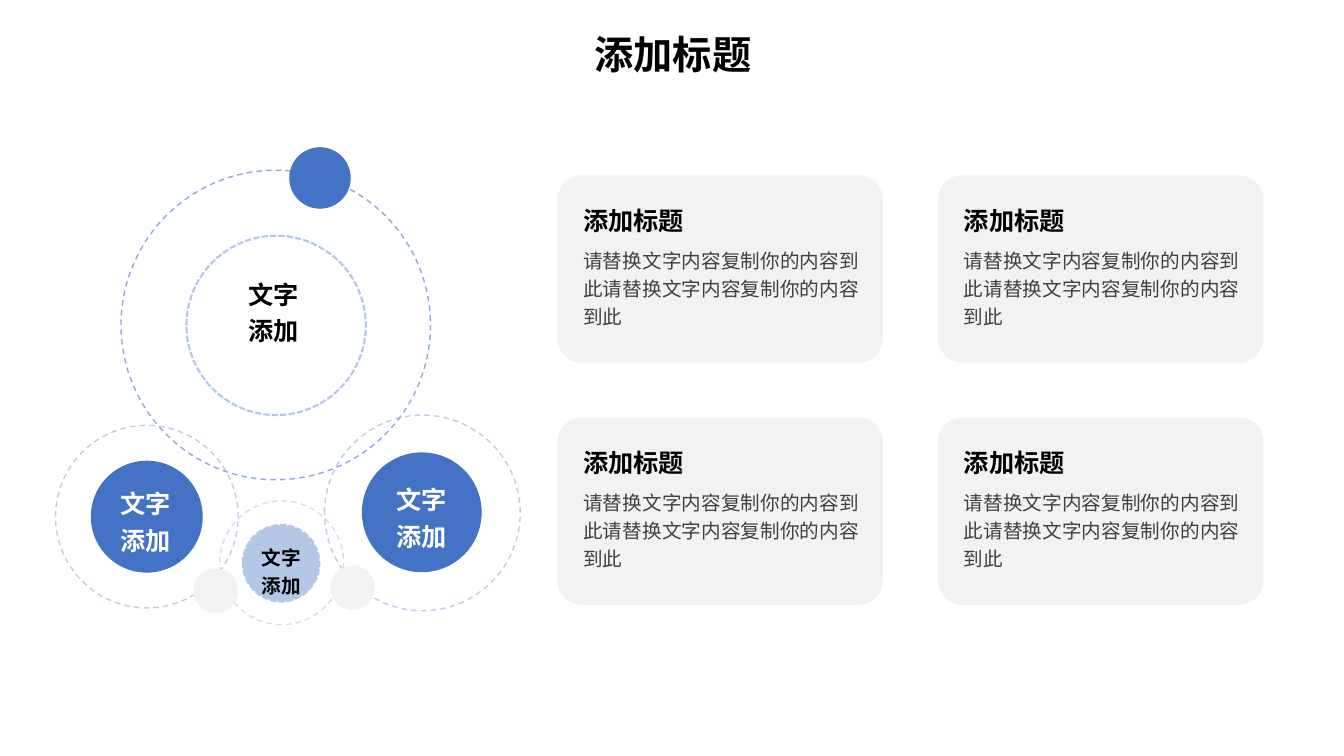
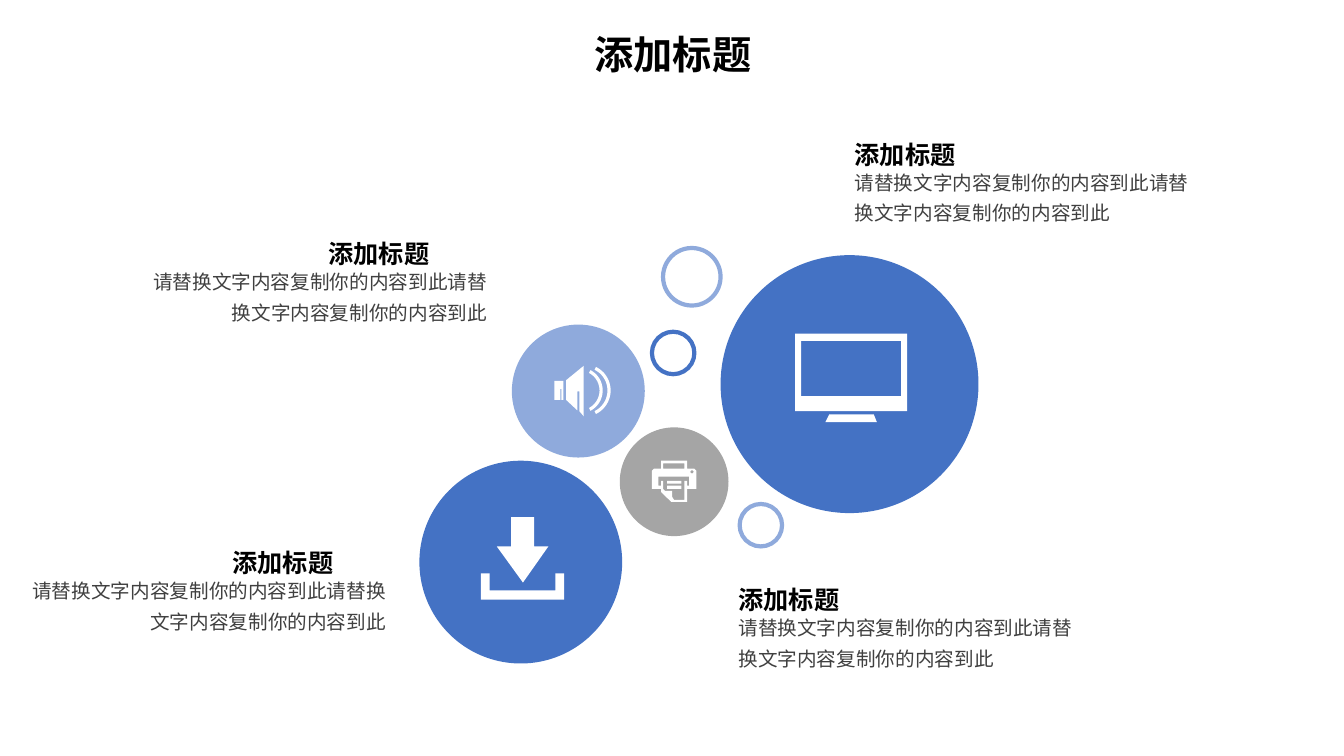
"""Build two concept slides: circles with text cards, and circles with icons."""
import math
from dataclasses import dataclass
from typing import Optional

from lxml import etree
from pptx import Presentation
from pptx import util as u
from pptx.dml.color import RGBColor
from pptx.enum import dml, shapes, text
from pptx.oxml.ns import qn

FONT = "Noto Sans CJK SC"
BLACK, WHITE, GREY = "000000", "FFFFFF", "404040"
BLUE, MID_BLUE, PALE_BLUE = "4472C4", "8FAADC", "B4C7E7"
PALE_GREY, MID_GREY = "F2F2F2", "A5A5A5"
HEADING = "添加标题"
BODY = "请替换文字内容复制你的内容到此" * 2
LABEL = "文字\n添加"
DASH, DOTS = dml.MSO_LINE.DASH, dml.MSO_LINE.SQUARE_DOT
LEFT, RIGHT = text.PP_ALIGN.LEFT, text.PP_ALIGN.RIGHT
JUSTIFY, CENTER = text.PP_ALIGN.JUSTIFY, text.PP_ALIGN.CENTER

Point = tuple[float, float]
Outline = list[Point]


@dataclass(frozen=True)
class Circle:
    left: float
    top: float
    size: float
    fill: Optional[str] = None
    line: Optional[str] = None
    weight: float = 1
    dash: Optional[dml.MSO_LINE] = None
    opacity: int = 100


@dataclass(frozen=True)
class Label:
    left: float
    top: float
    width: float
    height: float
    color: str
    size: int = 18


@dataclass(frozen=True)
class Caption:
    left: float
    top: float
    body_left: float
    body_width: float = 9.38
    align: text.PP_ALIGN = LEFT


ORBITS = [
    Circle(4.7, 5.94, 4.52, WHITE, PALE_BLUE, 1.5, DOTS),
    Circle(3.05, 4.29, 7.8, None, MID_BLUE, 1, DASH),
    Circle(2.29, 11.61, 2.82, BLUE),
    Circle(1.4, 10.72, 4.6, None, MID_BLUE, 1, DASH, 59),
    Circle(6.12, 13.23, 1.93, PALE_BLUE, PALE_BLUE, 1.5, DOTS),
    Circle(5.54, 12.62, 3.12, None, PALE_BLUE, 1, DASH, 59),
    Circle(9.12, 11.4, 3.02, BLUE),
    Circle(8.18, 10.46, 4.93, None, MID_BLUE, 1, DASH, 59),
    Circle(7.29, 3.71, 1.55, BLUE),
    Circle(4.88, 14.33, 1.12, PALE_GREY),
    Circle(8.33, 14.25, 1.12, PALE_GREY),
]
LABELS = [
    Label(6.02, 6.76, 1.8, 2.06, BLACK),
    Label(2.79, 12.04, 1.8, 2.11, WHITE),
    Label(9.75, 11.94, 1.8, 2.11, WHITE),
    Label(6.35, 13.51, 1.5, 1.7, BLACK, 14),
]
DISCS = [
    Circle(10.57, 11.61, 5.11, BLUE),
    Circle(15.62, 10.77, 2.74, MID_GREY),
    Circle(18.16, 6.43, 6.5, BLUE),
    Circle(12.9, 8.18, 3.35, MID_BLUE),
    Circle(16.71, 6.25, 1.45, None, MID_BLUE, 3),
    Circle(16.43, 8.36, 1.07, None, BLUE, 3),
    Circle(18.64, 12.7, 1.07, None, MID_BLUE, 3),
]
CAPTIONS = [
    Caption(8.03, 5.74, 3.15, align=RIGHT),
    Caption(5.61, 13.52, 0.33, 9.65, RIGHT),
    Caption(21.29, 3.23, 21.29),
    Caption(18.36, 14.46, 18.36),
]


def color(value: str) -> RGBColor:
    """Turn a hex string into a colour."""
    return RGBColor.from_string(value)


def rectangle(left: float, top: float, right: float, bottom: float) -> Outline:
    """Return the four corners of a rectangle."""
    return [(left, top), (right, top), (right, bottom), (left, bottom)]


def arc(x: float, y: float, radius: float, start: float, end: float) -> Outline:
    """Return points along an arc, with angles in degrees."""
    angles = [math.radians(start + (end - start) * step / 24) for step in range(25)]
    return [(x + radius * math.cos(a), y + radius * math.sin(a)) for a in angles]


def wave(x: float, y: float, inner: float, outer: float, spread: float) -> Outline:
    """Return the outline of a sound wave."""
    return arc(x, y, outer, -spread, spread) + arc(x, y, inner, spread, -spread)


SPEAKER = [
    wave(14.73, 9.84, 0.58, 0.66, 64),
    wave(14.61, 9.84, 0.5, 0.58, 62),
    [(14.27, 9.58), (14.27, 10.08), (14.55, 10.34), (14.55, 9.86), (14.6, 9.86),
     (14.6, 10.36), (14.71, 10.49), (14.71, 9.22)],
    [(13.97, 9.6), (13.97, 10.08), (14.12, 10.08), (14.12, 9.8), (14.15, 9.8),
     (14.15, 10.08), (14.2, 10.08), (14.2, 9.6)],
]
MONITOR = [
    [(20.9, 10.44), (22.02, 10.44), (22.1, 10.64), (20.8, 10.64)],
    rectangle(20.19, 8.59, 22.71, 9.98),
    rectangle(20.04, 8.41, 22.86, 10.36),
]
PRINTER = [
    [(17.5, 11.81), (17.32, 11.81), (17.32, 11.61), (16.66, 11.61), (16.66, 11.81),
     (16.48, 11.81), (16.43, 11.86), (16.43, 12.32), (16.66, 12.32), (16.66, 12.4),
     (16.92, 12.65), (17.32, 12.65), (17.32, 12.32), (17.55, 12.32), (17.55, 11.86)],
    rectangle(16.71, 11.68, 17.25, 11.81),
    [(17.37, 12.24), (17.32, 12.24), (17.32, 12.12), (17.25, 12.12), (17.25, 12.6),
     (16.99, 12.6), (16.94, 12.52), (16.94, 12.37), (16.76, 12.37), (16.71, 12.32),
     (16.71, 12.12), (16.66, 12.12), (16.66, 12.24), (16.59, 12.24), (16.59, 12.01),
     (17.37, 12.01)],
    arc(17.44, 11.89, 0.04, 0, 360),
    rectangle(16.81, 12.12, 17.17, 12.19),
    rectangle(16.81, 12.24, 17.17, 12.32),
]
DOWNLOAD = [
    [(12.12, 14.45), (12.34, 14.45), (12.34, 14.88), (14, 14.88), (14, 14.45),
     (14.22, 14.45), (14.22, 15.11), (12.12, 15.11)],
    [(12.88, 13.03), (13.46, 13.03), (13.46, 13.77), (13.82, 13.77), (13.18, 14.68),
     (12.52, 13.77), (12.88, 13.77)],
]


def write_text(box, value: str, *, size: float, ink: str = BLACK, bold: bool = False,
               align: text.PP_ALIGN = JUSTIFY, spacing: float = 1.2,
               wrap: bool = True) -> None:
    """Write formatted text into a shape, one paragraph a line."""
    frame = box.text_frame
    frame.text = value
    frame.word_wrap = wrap
    for para in frame.paragraphs:
        para.alignment = align
        para.line_spacing = spacing
        for span in para.runs:
            font = span.font
            font.size, font.bold, font.name = u.Pt(size), bold, FONT
            font.color.rgb = color(ink)
            etree.SubElement(span._r.get_or_add_rPr(), qn("a:ea"), typeface=FONT)


def add_text(page, left: float, top: float, width: float, height: float,
             value: str, **style) -> None:
    """Add a text box in centimetres."""
    box = page.shapes.add_textbox(u.Cm(left), u.Cm(top), u.Cm(width), u.Cm(height))
    write_text(box, value, **style)


def paint(shape, fill: Optional[str], line: Optional[str] = None) -> None:
    """Set the fill and line colours and remove the shadow."""
    shape.shadow.inherit = False
    for target, value in ((shape.fill, fill), (shape.line.fill, line)):
        if value is None:
            target.background()
        else:
            target.solid()
            target.fore_color.rgb = color(value)


def add_circle(page, circle: Circle) -> None:
    """Draw a disc or a ring."""
    shape = page.shapes.add_shape(
        shapes.MSO_SHAPE.OVAL, u.Cm(circle.left), u.Cm(circle.top),
        u.Cm(circle.size), u.Cm(circle.size))
    paint(shape, circle.fill, circle.line)
    if circle.line is None:
        return
    shape.line.width = u.Pt(circle.weight)
    if circle.dash is not None:
        shape.line.dash_style = circle.dash
    if circle.opacity < 100:
        for tint in shape.element.xpath(".//a:ln//a:srgbClr"):
            etree.SubElement(tint, qn("a:alpha"), val=str(circle.opacity * 1000))


def add_icon(page, outlines: list[Outline]) -> None:
    """Draw a white icon from closed outlines."""
    contours = [[(u.Cm(x), u.Cm(y)) for x, y in outline] for outline in outlines]
    builder = page.shapes.build_freeform(*contours[0][0])
    builder.add_line_segments(contours[0][1:])
    for contour in contours[1:]:
        builder.move_to(*contour[0])
        builder.add_line_segments(contour[1:])
    paint(builder.convert_to_shape(), WHITE)


def add_card(page, left: float, top: float) -> None:
    """Draw a rounded card with a heading and body text."""
    card = page.shapes.add_shape(
        shapes.MSO_SHAPE.ROUNDED_RECTANGLE,
        u.Cm(left), u.Cm(top), u.Cm(8.2), u.Cm(4.72))
    card.adjustments[0] = 0.13
    paint(card, PALE_GREY)
    add_text(page, left + 0.4, top + 1.6, 7.45, 2.41, BODY, size=14, ink=GREY)
    add_text(page, left + 0.4, top + 0.48, 5.64, 1.14, HEADING, size=18, bold=True)


def add_caption(page, caption: Caption) -> None:
    """Write a heading with body text below it."""
    add_text(page, caption.body_left, caption.top + 0.77, caption.body_width, 1.8, BODY,
             size=14, ink=GREY, align=caption.align, spacing=1.3)
    add_text(page, caption.left, caption.top, 5.59, 1.15, HEADING, size=18, bold=True)


def add_page(deck):
    """Add a page with the shared title."""
    page = deck.slides.add_slide(deck.slide_layouts.get_by_name("Title Only"))
    title = page.shapes.title
    title.left, title.top = u.Cm(0.03), u.Cm(0.64)
    title.width, title.height = u.Cm(33.86), u.Cm(1.45)
    write_text(title, HEADING, size=28, bold=True, align=CENTER, spacing=1)
    title.text_frame.auto_size = text.MSO_AUTO_SIZE.NONE
    title.text_frame.vertical_anchor = text.MSO_ANCHOR.MIDDLE
    return page


def build_cards_page(deck) -> None:
    """Build the page of orbits and cards."""
    page = add_page(deck)
    for circle in ORBITS:
        add_circle(page, circle)
    for label in LABELS:
        add_text(page, label.left, label.top, label.width, label.height, LABEL,
                 size=label.size, ink=label.color, bold=True, wrap=False)
    for row in range(2):
        for column in range(2):
            add_card(page, 14.05 + column * 9.59, 4.42 + row * 6.1)


def build_icons_page(deck) -> None:
    """Build the page of icons and captions."""
    page = add_page(deck)
    for caption in CAPTIONS:
        add_caption(page, caption)
    for circle in DISCS:
        add_circle(page, circle)
    for icon in (SPEAKER, MONITOR, PRINTER, DOWNLOAD):
        add_icon(page, icon)


def main() -> None:
    """Build and save the deck."""
    deck = Presentation()
    deck.slide_width, deck.slide_height = u.Cm(33.87), u.Cm(19.05)
    build_cards_page(deck)
    build_icons_page(deck)
    deck.save("out.pptx")


if __name__ == "__main__":
    main()
